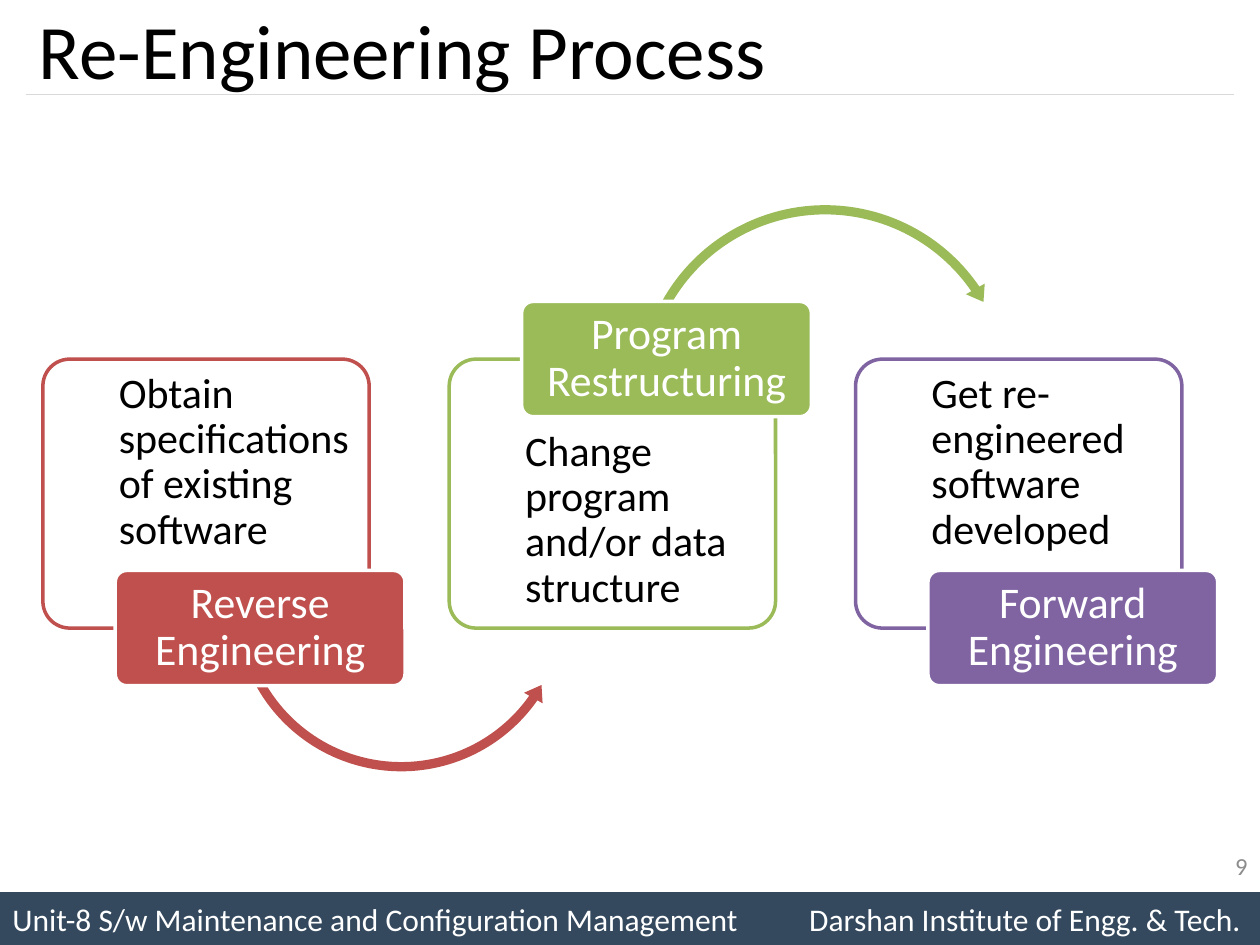
import pptx
import pptx.util
import pptx.dml.color
import pptx.enum.shapes
import pptx.enum.text
import pptx.oxml
import lxml.etree

Inches = pptx.util.Inches
Pt = pptx.util.Pt
RGBColor = pptx.dml.color.RGBColor
SHAPE = pptx.enum.shapes.MSO_SHAPE
ALIGN = pptx.enum.text.PP_ALIGN
ANCHOR = pptx.enum.text.MSO_ANCHOR
qn = pptx.oxml.ns.qn

BLACK = RGBColor(0, 0, 0)
WHITE = RGBColor(0xFF, 0xFF, 0xFF)
NAVY = RGBColor(0x34, 0x49, 0x5E)
RULE = RGBColor(0xD9, 0xD9, 0xD9)
GRAY = RGBColor(0x8C, 0x8C, 0x8C)
RED = RGBColor(0xC0, 0x50, 0x4D)
GREEN = RGBColor(0x9B, 0xBB, 0x59)
PURPLE = RGBColor(0x80, 0x64, 0xA2)

TITLE = "Re-Engineering Process"
UNIT = "Unit-8 S/w Maintenance and Configuration Management"
SCHOOL = "Darshan Institute of Engg. & Tech."
PAGE = "9"

# Arrow: preset, place, adjustments
UNDER = (SHAPE.LEFT_CIRCULAR_ARROW, (1.82, 3.44, 2.73, 2.73),
         (0.027, 3.268, 21.024, 90.245, 0.031))
OVER = (SHAPE.CIRCULAR_ARROW, (5.02, 1.58, 3.06, 3.06),
        (0.024, 2.895, 195.35, 125.755, 0.028))
# Label, detail, colour, label on top, arrow to the next step
STEPS = [
    ("Reverse Engineering", "Obtain specifications of existing software",
     RED, False, UNDER),
    ("Program Restructuring", "Change program and/or data structure",
     GREEN, True, OVER),
    ("Forward Engineering", "Get re-engineered software developed",
     PURPLE, False, None),
]

LEFT, TOP, PITCH = 0.34, 2.85, 3.225
CARD_W, CARD_H = 2.59, 2.135
TAG_W, TAG_H, SHIFT = 2.3, 0.915, 0.575

deck = pptx.Presentation()
deck.slide_width, deck.slide_height = Inches(10), Inches(7.5)
slide = deck.slides.add_slide(deck.slide_layouts[6])
shapes = slide.shapes


def add_form(kind, place, fill, line=None, adjust=()):
    form = shapes.add_shape(kind, *map(Inches, place))
    form.shadow.inherit = False
    form.fill.solid()
    form.fill.fore_color.rgb = fill
    if line is None:
        form.line.fill.background()
    else:
        form.line.color.rgb = line
        form.line.width = Pt(2)
    for i, value in enumerate(adjust):
        form.adjustments[i] = value
    return form


def write(form, text, size, color, align=ALIGN.LEFT, anchor=ANCHOR.MIDDLE,
          pads=(0.1, 0.05, 0.1, 0.05), wrap=True):
    frame = form.text_frame
    frame.word_wrap = wrap
    frame.vertical_anchor = anchor
    (frame.margin_left, frame.margin_top,
     frame.margin_right, frame.margin_bottom) = map(Inches, pads)
    para = frame.paragraphs[0]
    para.alignment = align
    run = para.add_run()
    run.text = text
    run.font.name = "Calibri"
    run.font.size = Pt(size)
    run.font.color.rgb = color
    return para


def add_text(place, *args, **style):
    write(shapes.add_textbox(*map(Inches, place)), *args, **style)


def add_step(x, label, detail, color, above, arrow):
    card = add_form(SHAPE.ROUNDED_RECTANGLE, (x, TOP, CARD_W, CARD_H),
                    WHITE, color, (0.1,))
    # The rounded corners already inset the text by 0.06
    pads = (0.04, 0.5, 0.04, 0.04) if above else (0.04, 0.04, 0.04, 0.5)
    para = write(card, detail, 24, BLACK, anchor=ANCHOR.TOP, pads=pads)
    para.line_spacing = 0.9
    para._p.get_or_add_pPr().set("marL", str(Inches(0.5)))
    if arrow:
        kind, place, adjust = arrow
        add_form(kind, place, color, adjust=adjust)
    edge = TOP if above else TOP + CARD_H
    tag = add_form(SHAPE.ROUNDED_RECTANGLE,
                   (x + SHIFT, edge - TAG_H / 2, TAG_W, TAG_H),
                   color, WHITE, (0.1,))
    para = write(tag, label, 25, WHITE, ALIGN.CENTER,
                 pads=(0.05, 0.03, 0.05, 0.03))
    para.line_spacing = 0.9


bar = add_form(SHAPE.RECTANGLE, (0, 7.08, 10, 0.42), NAVY)
para = write(bar, UNIT + "\t" + SCHOOL, 18, WHITE)
tabs = lxml.etree.SubElement(para._p.get_or_add_pPr(), qn("a:tabLst"))
lxml.etree.SubElement(tabs, qn("a:tab"), pos=str(Inches(9.75)), algn="r")

rule = shapes.add_connector(pptx.enum.shapes.MSO_CONNECTOR.STRAIGHT,
                            *map(Inches, (0.21, 0.75, 9.79, 0.75)))
rule.line.color.rgb = RULE
rule.line.width = Pt(0.75)
lxml.etree.SubElement(rule._element.spPr, qn("a:effectLst"))

add_text((0.21, -0.05, 9.58, 0.88), TITLE, 44, BLACK, wrap=False)
add_text((7.67, 6.67, 2.33, 0.4), PAGE, 14, GRAY, align=ALIGN.RIGHT)

for i, step in enumerate(STEPS):
    add_step(LEFT + i * PITCH, *step)

deck.save("out.pptx")
